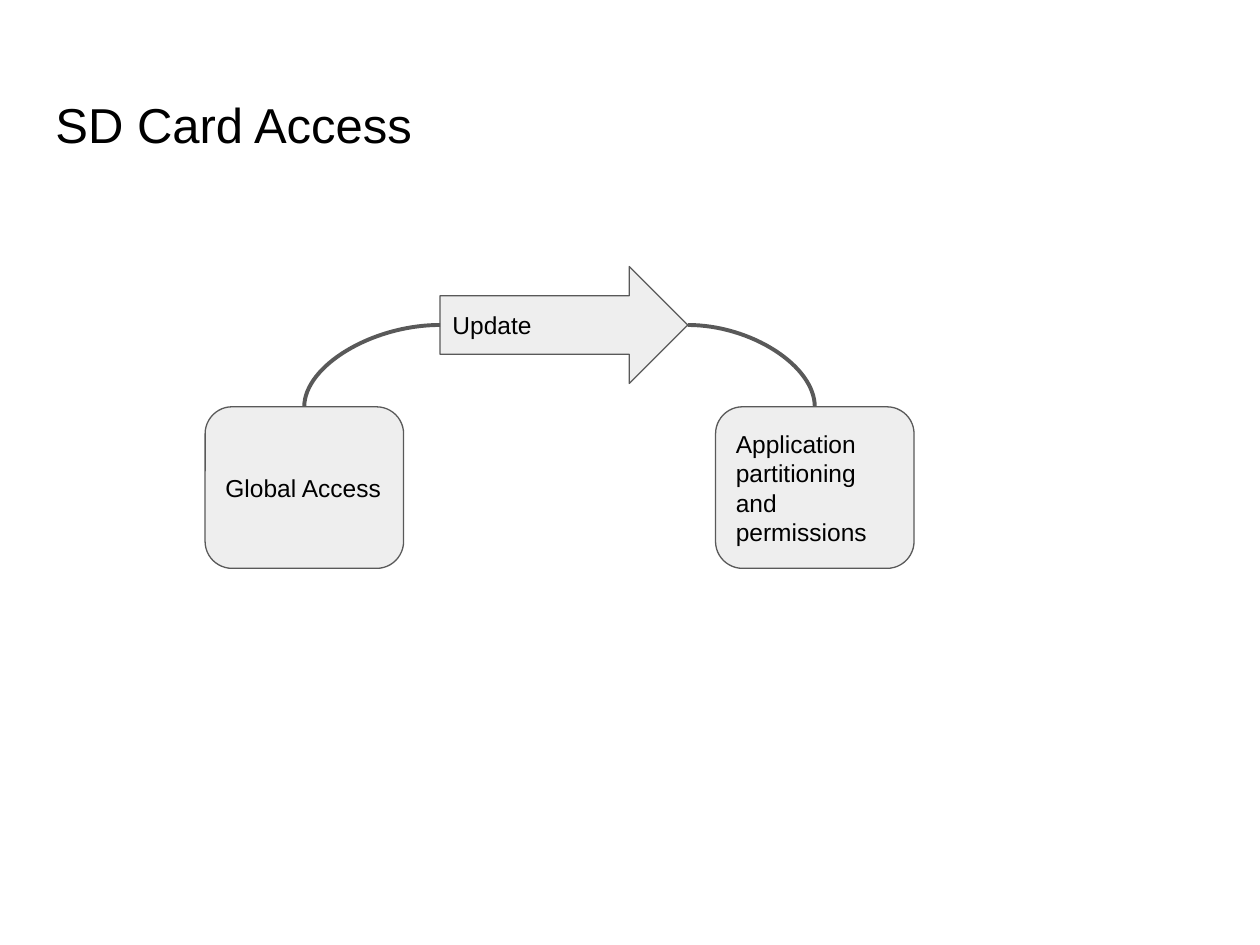
from dataclasses import dataclass

from pptx import Presentation
from pptx.dml.color import RGBColor
from pptx.enum.shapes import MSO_CONNECTOR, MSO_SHAPE
from pptx.enum.text import MSO_ANCHOR, MSO_AUTO_SIZE, PP_ALIGN
from pptx.oxml.ns import qn
from pptx.util import Pt

ROUND_RECT = MSO_SHAPE.ROUNDED_RECTANGLE
RIGHT_ARROW = MSO_SHAPE.RIGHT_ARROW
CURVE = MSO_CONNECTOR.CURVE
TOP, MIDDLE = MSO_ANCHOR.TOP, MSO_ANCHOR.MIDDLE
LEFT = PP_ALIGN.LEFT
NO_FIT = MSO_AUTO_SIZE.NONE
TOP_SIDE, LEFT_SIDE, RIGHT_SIDE = 0, 1, 3


@dataclass(frozen=True)
class Theme:
    font: str = "Arial"
    text: RGBColor = RGBColor(0x00, 0x00, 0x00)
    fill: RGBColor = RGBColor(0xEE, 0xEE, 0xEE)
    line: RGBColor = RGBColor(0x59, 0x59, 0x59)
    title_size: float = 28
    label_size: float = 14
    outline: float = 0.75
    curve: float = 2.25
    inset: float = 7.2


def write(s, text, *, theme, size, anchor=MIDDLE, align=LEFT):
    """Put formatted text in a shape."""
    tf = s.text_frame
    tf.word_wrap = True
    tf.auto_size = NO_FIT
    tf.vertical_anchor = anchor
    tf.margin_left = tf.margin_right = Pt(theme.inset)
    tf.margin_top = tf.margin_bottom = Pt(theme.inset)
    p = tf.paragraphs[0]
    p.alignment = align
    r = p.add_run()
    r.text = text
    r.font.name = theme.font
    r.font.size = Pt(size)
    r.font.color.rgb = theme.text


class Deck:
    def __init__(self, prs, theme):
        self.theme = theme
        self.slide = prs.slides.add_slide(prs.slide_layouts[5])

    def title(self, text, x, y, w, h):
        s = self.slide.shapes.title
        s.left, s.top, s.width, s.height = Pt(x), Pt(y), Pt(w), Pt(h)
        write(s, text, theme=self.theme, size=self.theme.title_size, anchor=TOP)

    def block(self, kind, text, x, y, w, h):
        s = self.slide.shapes.add_shape(kind, Pt(x), Pt(y), Pt(w), Pt(h))
        s.shadow.inherit = False
        s.fill.solid()
        s.fill.fore_color.rgb = self.theme.fill
        s.line.color.rgb = self.theme.line
        s.line.width = Pt(self.theme.outline)
        write(s, text, theme=self.theme, size=self.theme.label_size)
        return s

    def curve(self, start, start_side, end, end_side):
        c = self.slide.shapes.add_connector(CURVE, 0, 0, 0, 0)
        c.begin_connect(start, start_side)
        c.end_connect(end, end_side)
        c.line.color.rgb = self.theme.line
        c.line.width = Pt(self.theme.curve)
        # Single quarter bend, no shadow
        sp_pr = c._element.spPr
        sp_pr.find(qn("a:prstGeom")).set("prst", "curvedConnector2")
        sp_pr.append(sp_pr.makeelement(qn("a:effectLst"), {}))


def main():
    prs = Presentation()
    prs.slide_width, prs.slide_height = Pt(720), Pt(540)
    deck = Deck(prs, Theme())

    deck.title("SD Card Access", 24.5, 46.8, 671, 59.8)

    # Access models before and after
    box_y, box_w, box_h = 232.5, 113.4, 92.3
    before, after = (
        deck.block(ROUND_RECT, text, x, box_y, box_w, box_h)
        for text, x in (
            ("Global Access", 117.2),
            ("Application partitioning and permissions", 408.9),
        )
    )

    # Release that brought the change
    release = deck.block(RIGHT_ARROW, "Update", 251.5, 152.3, 141.5, 66.8)

    # Curves from the arrow's ends down to the boxes
    deck.curve(release, LEFT_SIDE, before, TOP_SIDE)
    deck.curve(release, RIGHT_SIDE, after, TOP_SIDE)

    prs.save("out.pptx")


if __name__ == "__main__":
    main()
